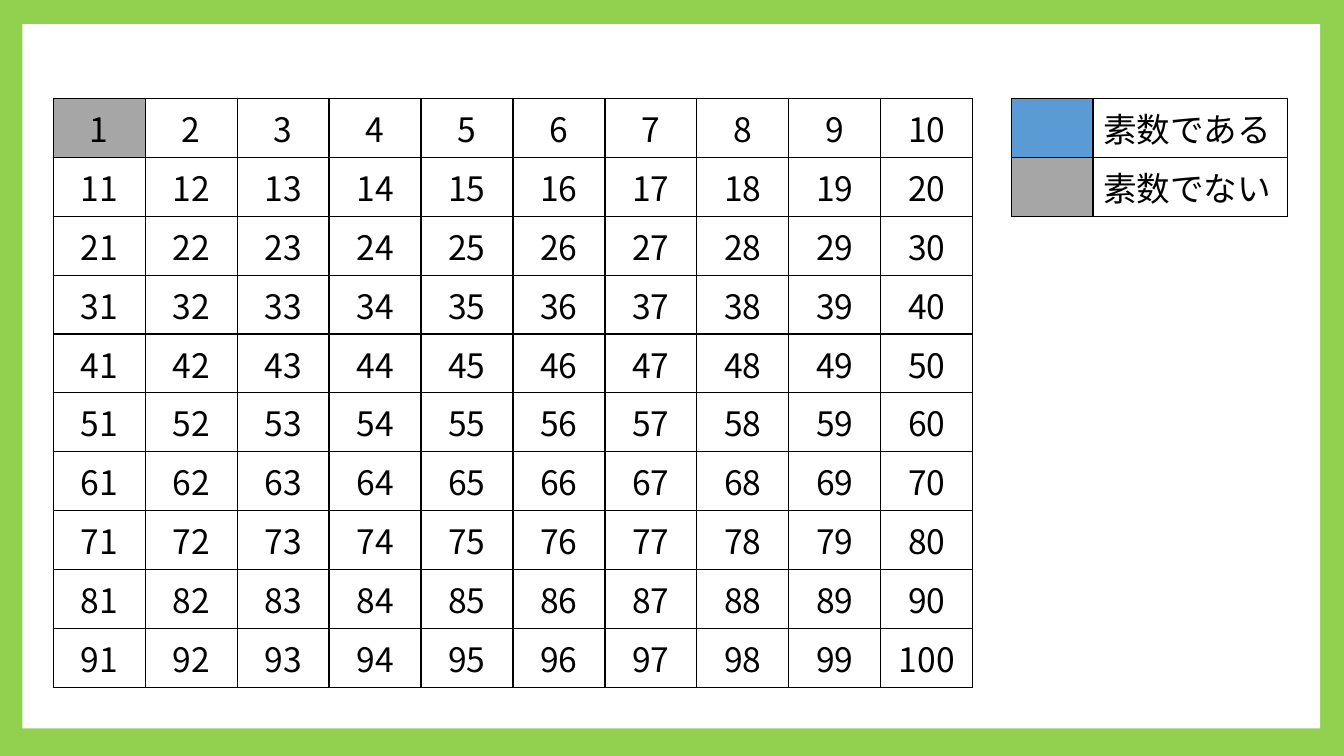
from lxml.etree import SubElement
from pptx import Presentation
from pptx.dml.color import RGBColor
from pptx.enum.shapes import MSO_SHAPE
from pptx.enum.text import PP_ALIGN
from pptx.oxml.ns import qn
from pptx.util import Pt

COLORS = {"frame": "92D050", "panel": "FFFFFF", "ink": "000000",
          "prime": "5B9BD5", "not_prime": "A6A6A6"}
FONT = "Noto Sans CJK JP"


def rgb(name):
    """Return the named colour."""
    return RGBColor.from_string(COLORS[name])


def add_borders(cell):
    """Draw a thin black line on all four sides of a cell."""
    properties = cell._tc.get_or_add_tcPr()
    for side in ("a:lnL", "a:lnR", "a:lnT", "a:lnB"):
        line = SubElement(properties, qn(side), w=str(Pt(1)))
        fill = SubElement(line, qn("a:solidFill"))
        SubElement(fill, qn("a:srgbClr"), val=COLORS["ink"])


def style_cell(cell, text, align, fill=None):
    """Write one bordered cell, filled when a colour is named."""
    cell.text = text
    paragraph = cell.text_frame.paragraphs[0]
    paragraph.alignment = align
    paragraph.font.size = Pt(24)
    for run in paragraph.runs:
        run.font.size = Pt(24)
        run.font.name = FONT
        run.font.color.rgb = rgb("ink")
        SubElement(run.font._element, qn("a:ea"), typeface=FONT)
    add_borders(cell)
    if fill:
        cell.fill.solid()
        cell.fill.fore_color.rgb = rgb(fill)
    else:
        cell.fill.background()


def add_plain_table(slide, rows, columns, left, top, width, height):
    """Add a table without header or banding."""
    table = slide.shapes.add_table(rows, columns, Pt(left), Pt(top),
                                   Pt(width), Pt(height)).table
    table.first_row = False
    table.horz_banding = False
    return table


def add_panel(slide, left, top, width, height):
    """Lay the white panel on the green background."""
    slide.background.fill.solid()
    slide.background.fill.fore_color.rgb = rgb("frame")
    panel = slide.shapes.add_shape(MSO_SHAPE.RECTANGLE, Pt(left), Pt(top),
                                   Pt(width), Pt(height))
    panel.shadow.inherit = False
    panel.fill.solid()
    panel.fill.fore_color.rgb = rgb("panel")
    panel.line.fill.background()


def add_number_grid(slide, left, top, width, height):
    """Fill a ten by ten grid with 1 to 100."""
    grid = add_plain_table(slide, 10, 10, left, top, width, height)
    for number, cell in enumerate(grid.iter_cells(), start=1):
        style_cell(cell, str(number), PP_ALIGN.CENTER,
                   "not_prime" if number == 1 else None)


def add_legend(slide, left, top, width, height):
    """Explain the two cell colours."""
    meanings = (("prime", "素数である"), ("not_prime", "素数でない"))
    legend = add_plain_table(slide, len(meanings), 2, left, top, width, height)
    swatch_width = 58.3
    legend.columns[0].width = Pt(swatch_width)
    legend.columns[1].width = Pt(width - swatch_width)
    for row, (color, meaning) in enumerate(meanings):
        style_cell(legend.cell(row, 0), "", PP_ALIGN.LEFT, color)
        style_cell(legend.cell(row, 1), meaning, PP_ALIGN.LEFT)


def main():
    """Build the prime number slide."""
    presentation = Presentation()
    presentation.slide_width = Pt(960)
    presentation.slide_height = Pt(540)
    slide = presentation.slides.add_slide(presentation.slide_layouts[6])
    tables_top = 70.4
    add_panel(slide, 16, 17.2, 927, 503.2)
    add_number_grid(slide, 38, tables_top, 657, 404)
    add_legend(slide, 722.4, tables_top, 197.3, 72)
    presentation.save("out.pptx")


if __name__ == "__main__":
    main()
